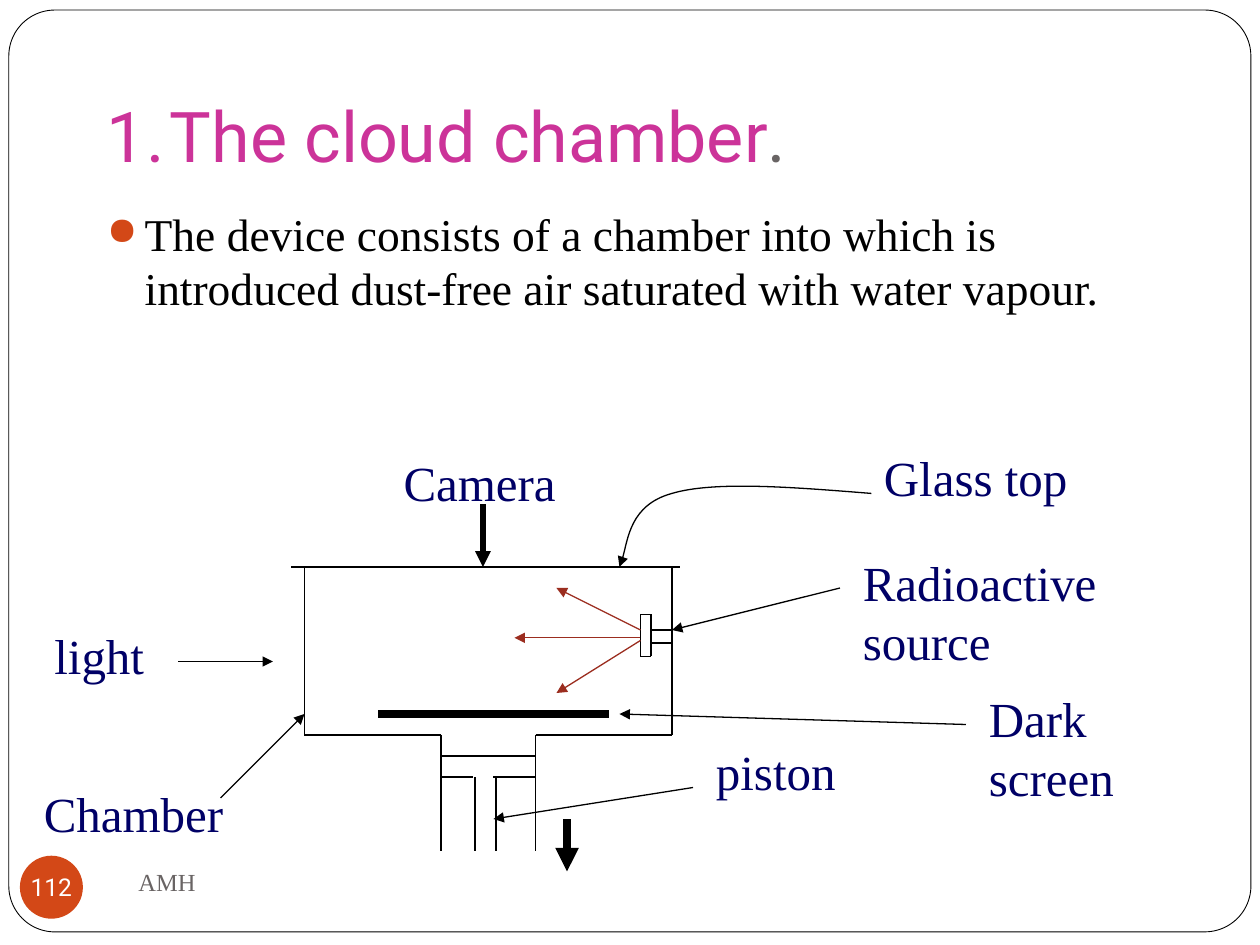
from lxml import etree
from pptx import Presentation
from pptx.dml.color import RGBColor
from pptx.enum.shapes import MSO_CONNECTOR, MSO_SHAPE
from pptx.enum.text import MSO_ANCHOR, PP_ALIGN
from pptx.oxml.ns import qn
from pptx.util import Inches, Pt

STRAIGHT = MSO_CONNECTOR.STRAIGHT
ROUNDED, OVAL = MSO_SHAPE.ROUNDED_RECTANGLE, MSO_SHAPE.OVAL
TOP, MIDDLE, BOTTOM = MSO_ANCHOR.TOP, MSO_ANCHOR.MIDDLE, MSO_ANCHOR.BOTTOM
CENTER = PP_ALIGN.CENTER

COLUMNS, ROWS = 120, 90
SERIF, SANS = "Times New Roman", "Roboto"
BLACK, WHITE, GRAY = "000000", "FFFFFF", "696464"
NAVY, PINK, ORANGE, RED = "000066", "CC3399", "D34817", "9B2D1F"


def color(value):
    return RGBColor.from_string(value)


def add_child(parent, tag, **attributes):
    return etree.SubElement(parent, qn(tag), attributes)


class Sketch:
    """Draws on one slide; lengths are columns and rows of a 120 by 90 grid."""

    def __init__(self, presentation):
        self.slide = presentation.slides.add_slide(presentation.slide_layouts[6])
        self.column = presentation.slide_width / COLUMNS
        self.row = presentation.slide_height / ROWS

    def place(self, x, y):
        return round(x * self.column), round(y * self.row)

    def style_line(self, line, width, hue=BLACK, arrow=False):
        line.color.rgb = color(hue)
        line.width = Pt(width)
        if arrow:
            add_child(line._get_or_add_ln(), "a:tailEnd", type="triangle")

    def style_text(self, paragraph, size, font, hue):
        paragraph.font.size = Pt(size)
        paragraph.font.name = font
        paragraph.font.color.rgb = color(hue)

    def shape(self, kind, left, top, width, height, fill):
        shape = self.slide.shapes.add_shape(
            kind, *self.place(left, top), *self.place(width, height))
        shape.shadow.inherit = False
        shape.fill.solid()
        shape.fill.fore_color.rgb = color(fill)
        shape.line.fill.background()
        return shape

    def text(self, words, left, top, width, height, size=28, font=SERIF,
             hue=NAVY, anchor=TOP):
        box = self.slide.shapes.add_textbox(
            *self.place(left, top), *self.place(width, height))
        frame = box.text_frame
        frame.word_wrap = True
        frame.vertical_anchor = anchor
        paragraph = frame.paragraphs[0]
        paragraph.add_run().text = words
        self.style_text(paragraph, size, font, hue)
        return frame

    def bullet(self, words, *box, **style):
        paragraph = self.text(words, *box, **style).paragraphs[0]
        properties = paragraph._p.get_or_add_pPr()
        properties.set("marL", str(Inches(0.3)))
        properties.set("indent", str(-Inches(0.3)))
        marks = [etree.Element(qn(tag)) for tag in ("a:buClr", "a:buSzPct", "a:buChar")]
        add_child(marks[0], "a:srgbClr", val=ORANGE)
        marks[1].set("val", "85000")
        marks[2].set("char", "●")
        for position, mark in enumerate(marks):
            properties.insert(position, mark)

    def badge(self, words, *box):
        frame = self.shape(OVAL, *box, ORANGE).text_frame
        frame.margin_left = frame.margin_right = 0
        frame.margin_top = frame.margin_bottom = 0
        frame.word_wrap = False
        frame.vertical_anchor = MIDDLE
        paragraph = frame.paragraphs[0]
        paragraph.add_run().text = words
        paragraph.alignment = CENTER
        self.style_text(paragraph, 14, SANS, WHITE)

    def line(self, x1, y1, x2, y2, width=0.75, hue=BLACK, arrow=False):
        connector = self.slide.shapes.add_connector(
            STRAIGHT, *self.place(x1, y1), *self.place(x2, y2))
        self.style_line(connector.line, width, hue, arrow)
        add_child(connector._element.spPr, "a:effectLst")

    def curved_arrow(self, start, *points):
        """Bezier curve: after the start, each three points make one segment."""
        builder = self.slide.shapes.build_freeform(*self.place(*start))
        builder.add_line_segments([self.place(*p) for p in points], close=False)
        shape = builder.convert_to_shape()
        shape.shadow.inherit = False
        shape.fill.background()
        self.style_line(shape.line, 0.75, arrow=True)
        outline = shape._element.find(".//" + qn("a:path"))
        corners = outline.findall(qn("a:lnTo"))
        for first in range(0, len(corners), 3):
            segment = add_child(outline, "a:cubicBezTo")
            for corner in corners[first:first + 3]:
                segment.append(corner[0])
                outline.remove(corner)


OUTLINES = [
    # chamber walls and glass top
    (29, 54, 29, 70), (29, 70, 42, 70), (42, 70, 42, 81),
    (51, 70, 51, 81), (51, 70, 64, 70), (64, 54, 64, 70),
    (27.75, 54, 64.75, 54),
    # piston
    (45.25, 81, 45.25, 74), (47.25, 81, 47.25, 74),
    (45, 74, 42, 74), (47, 74, 51, 74), (42, 72, 51, 72),
    # source holder
    (61, 62.5, 61, 58.5), (61, 58.5, 62, 58.5), (61, 62.5, 62, 62.5),
    (62, 62.5, 62, 60.5), (62, 58.5, 62, 60.5),
    (62, 61.25, 64, 61.25), (62, 60, 64, 60),
]
RAYS = [(61, 60.75, 49, 60.75), (61, 61, 53, 66), (61, 60, 53, 56)]
POINTERS = [
    (17, 63, 26, 63), (21, 76, 29, 68), (66, 75, 47, 78),
    (92, 69, 59, 68), (80, 56, 64, 60),
]
LABELS = [
    ("Dark screen", 93, 65, 20, 12.4), ("Camera", 37.25, 42.5, 20, 6.9),
    ("Glass top", 83, 42, 20, 6.9), ("Radioactive source", 81, 52, 32, 12.4),
    ("piston", 67, 70, 20, 6.9), ("light", 4, 59, 13, 6.9),
    ("Chamber", 3, 74, 22, 6.9),
]


def main():
    presentation = Presentation()
    presentation.slide_width, presentation.slide_height = Inches(10), Inches(7.5)
    sketch = Sketch(presentation)

    border = sketch.shape(ROUNDED, 0.84, 0.96, 118.3, 87.8, WHITE)
    border.adjustments[0] = 0.05
    sketch.style_line(border.line, 0.5)

    title = sketch.text("1.\tThe cloud chamber", 9, 3, 102, 15,
                        size=40, font=SANS, hue=PINK, anchor=BOTTOM)
    title.margin_bottom = Inches(0.1)
    period = title.paragraphs[0].add_run()
    period.text = "."
    period.font.color.rgb = color(GRAY)

    sketch.text("AMH", 12, 81, 52, 6, size=14, hue=GRAY, anchor=MIDDLE)
    sketch.badge("112", 1.9, 81.5, 6, 6)
    sketch.bullet("The device consists of a chamber into which is introduced "
                  "dust-free air saturated with water vapour.",
                  9, 19, 102, 67, size=26, hue=BLACK)

    for outline in OUTLINES:
        sketch.line(*outline)
    sketch.line(36, 68, 58, 68, width=4.5)
    for ray in RAYS:
        sketch.line(*ray, hue=RED, arrow=True)
    for pointer in POINTERS:
        sketch.line(*pointer, arrow=True)
    sketch.line(54, 78, 54, 83, width=4.5, arrow=True)
    sketch.line(46, 48, 46, 54, width=3, arrow=True)
    sketch.curved_arrow((83, 47), (75.5, 46.4), (68, 45.8), (64, 47),
                        (60, 48.1), (59.6, 52.8), (59, 54))
    for label in LABELS:
        sketch.text(*label)

    presentation.save("out.pptx")


if __name__ == "__main__":
    main()
